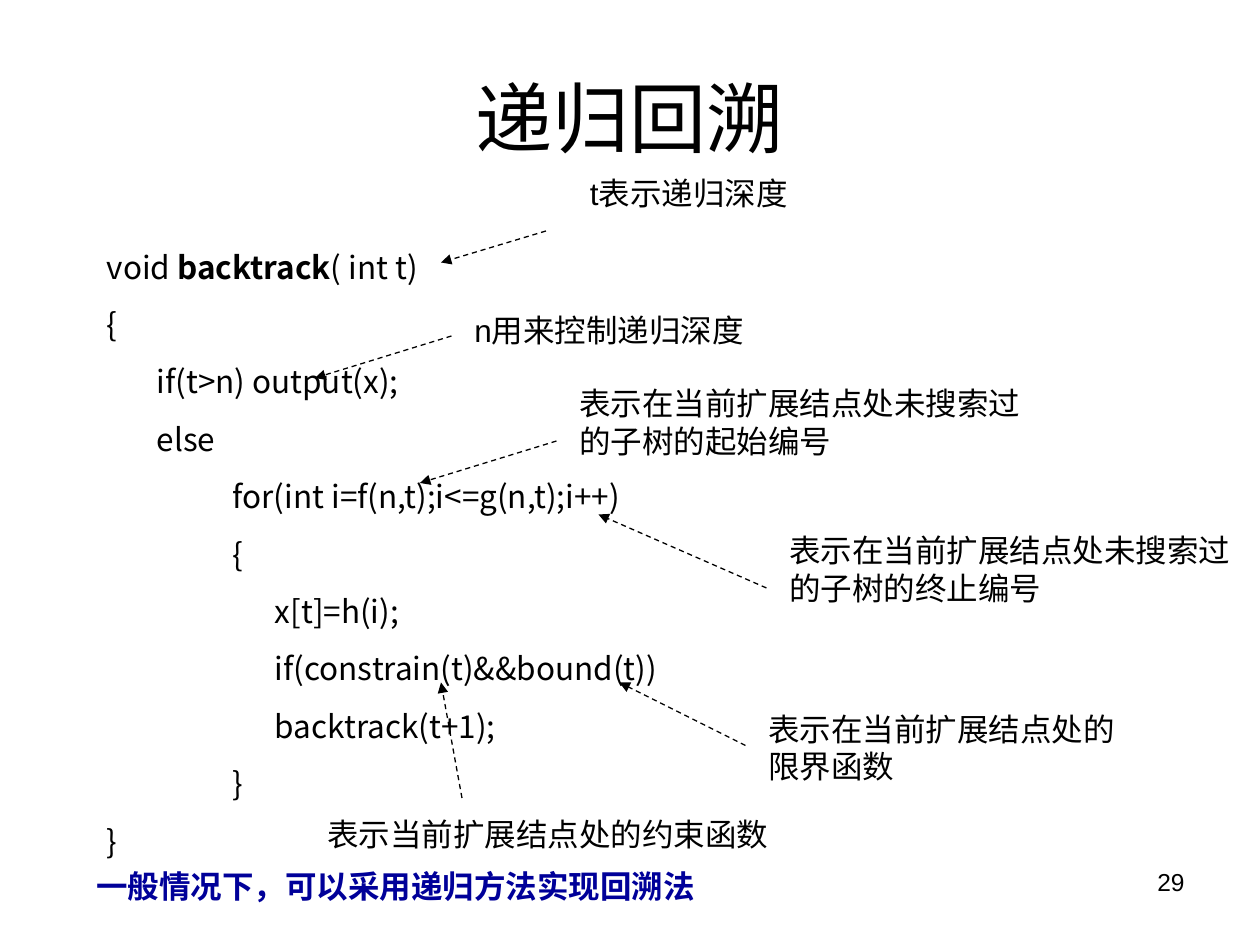
from dataclasses import dataclass

from lxml import etree
from pptx import Presentation
from pptx import util as u
from pptx.dml.color import RGBColor
from pptx.enum import dml, shapes, text
from pptx.oxml.ns import qn

COLORS = {"ink": "000000", "summary": "000099"}
LATIN = "Arial"
CJK = "Noto Sans CJK SC"
GAP = 11.2
NOTE_HEIGHT = 28.8


@dataclass(frozen=True)
class Note:
    words: str
    left: float
    top: float
    width: float
    arrow_from: tuple[float, float]
    arrow_to: tuple[float, float]


@dataclass(frozen=True)
class CodeLine:
    code: str
    indent: float = 0


NOTES = [
    Note("t表示递归深度", 330, 96, 138, (312, 132), (252, 150)),
    Note("n用来控制递归深度", 264, 174, 174, (258, 192), (180, 216)),
    Note("表示在当前扩展结点处未搜索过的子树的起始编号",
         324, 216, 276, (318, 252), (240, 276)),
    Note("表示在当前扩展结点处的限界函数",
         432, 402, 216, (426, 426), (354, 390)),
    Note("表示当前扩展结点处的约束函数",
         180, 462, 276, (264, 456), (252, 390)),
    Note("表示在当前扩展结点处未搜索过的子树的终止编号",
         444, 300, 276, (438, 336), (342, 294)),
]

BRANCH, LOOP, BODY = 28.5, 72, 96
FUNCTION_NAME = "backtrack"
CODE = [
    CodeLine("{"),
    CodeLine("if(t>n) output(x);", BRANCH),
    CodeLine("else", BRANCH),
    CodeLine("for(int i=f(n,t);i<=g(n,t);i++)", LOOP),
    CodeLine("{", LOOP),
    CodeLine("x[t]=h(i);", BODY),
    CodeLine("if(constrain(t)&&bound(t))", BODY),
    CodeLine("backtrack(t+1);", BODY),
    CodeLine("}", LOOP),
    CodeLine("}"),
]


def add_run(p, words: str, *, size: float = 18, font: str = LATIN,
            color: str = "ink", bold: bool = False) -> None:
    r = p.add_run()
    r.text = words
    r.font.size = u.Pt(size)
    r.font.bold = bold
    r.font.color.rgb = RGBColor.from_string(COLORS[color])
    r.font.name = font
    etree.SubElement(r._r.get_or_add_rPr(), qn("a:ea"), typeface=CJK)


def add_frame(s, left: float, top: float, width: float, height: float):
    """Add a wrapping text box and return its text frame."""
    tf = s.shapes.add_textbox(*map(u.Pt, (left, top, width, height))).text_frame
    tf.word_wrap = True
    return tf


def add_text(s, words: str, left: float, top: float, width: float,
             height: float = NOTE_HEIGHT, *, align=text.PP_ALIGN.LEFT,
             anchor=text.MSO_ANCHOR.TOP, **fmt) -> None:
    tf = add_frame(s, left, top, width, height)
    tf.vertical_anchor = anchor
    p = tf.paragraphs[0]
    p.alignment = align
    add_run(p, words, **fmt)


def add_arrow(s, start: tuple[float, float], end: tuple[float, float]) -> None:
    c = s.shapes.add_connector(shapes.MSO_CONNECTOR.STRAIGHT,
                               *map(u.Pt, start + end))
    c.line.color.rgb = RGBColor.from_string(COLORS["ink"])
    c.line.width = u.Pt(0.75)
    c.line.dash_style = dml.MSO_LINE.DASH
    etree.SubElement(c.line._get_or_add_ln(), qn("a:tailEnd"), type="triangle")
    etree.SubElement(c._element.spPr, qn("a:effectLst"))


def add_code(s) -> None:
    tf = add_frame(s, 54, 138, 504, 358)
    p = tf.paragraphs[0]
    p.space_before = u.Pt(GAP)
    add_run(p, "void ", font=CJK)
    add_run(p, FUNCTION_NAME, font=CJK, bold=True)
    add_run(p, "( int t)", font=CJK)
    for line in CODE:
        p = tf.add_paragraph()
        p.space_before = u.Pt(GAP)
        p._p.get_or_add_pPr().set("marL", str(u.Pt(line.indent)))
        add_run(p, line.code, font=CJK)


def main() -> None:
    prs = Presentation()
    prs.slide_width, prs.slide_height = u.Pt(720), u.Pt(540)
    s = prs.slides.add_slide(prs.slide_layouts[6])

    add_text(s, "29", 516, 492, 168, 37.5, align=text.PP_ALIGN.RIGHT, size=14)
    add_text(s, "递归回溯", 36, 21.6, 648, 90, align=text.PP_ALIGN.CENTER,
             anchor=text.MSO_ANCHOR.MIDDLE, size=44)
    add_code(s)
    for note in NOTES:
        add_arrow(s, note.arrow_from, note.arrow_to)
        add_text(s, note.words, note.left, note.top, note.width)
    add_text(s, "一般情况下，可以采用递归方法实现回溯法", 48, 492, 534,
             color="summary", bold=True)

    prs.save("out.pptx")


if __name__ == "__main__":
    main()
